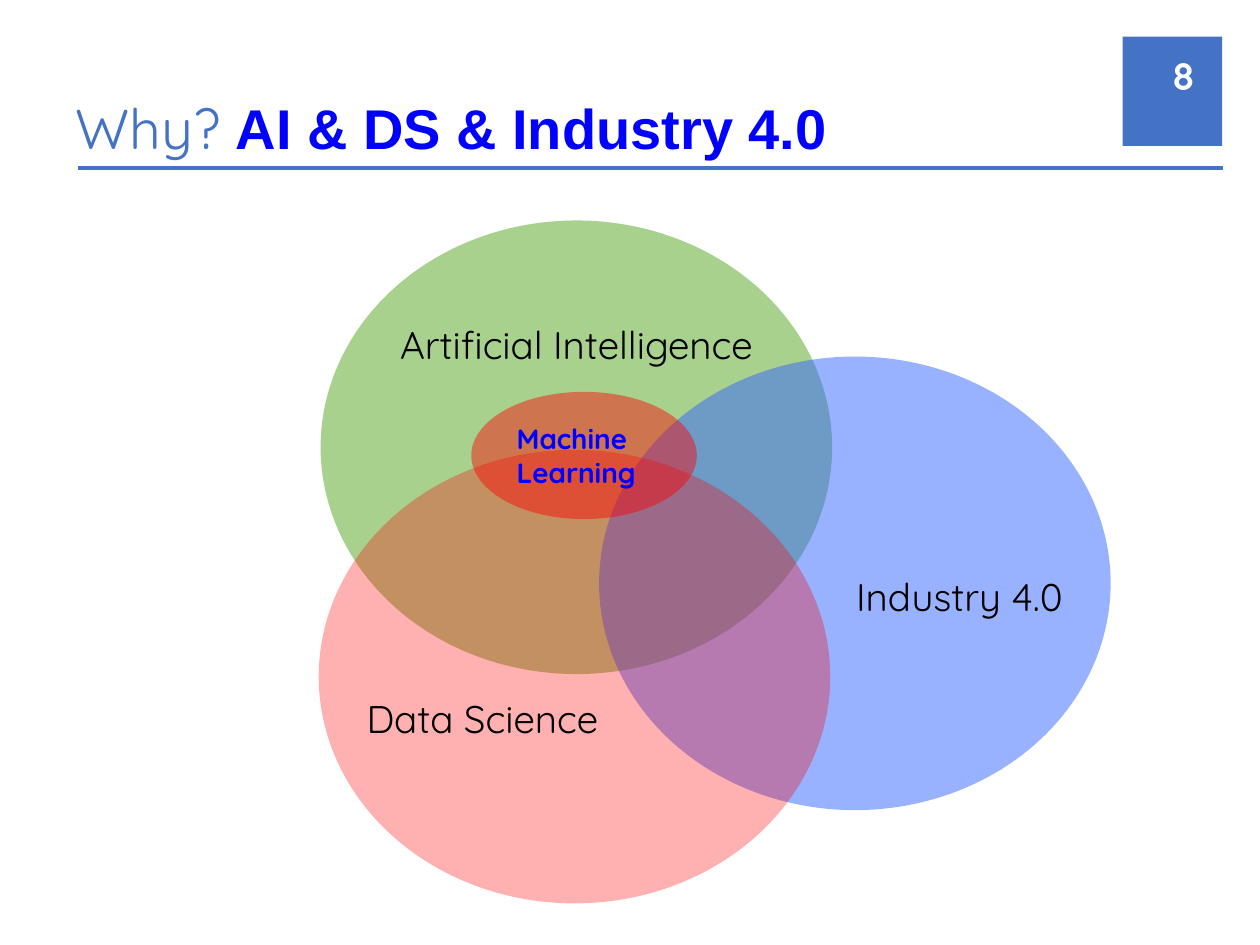
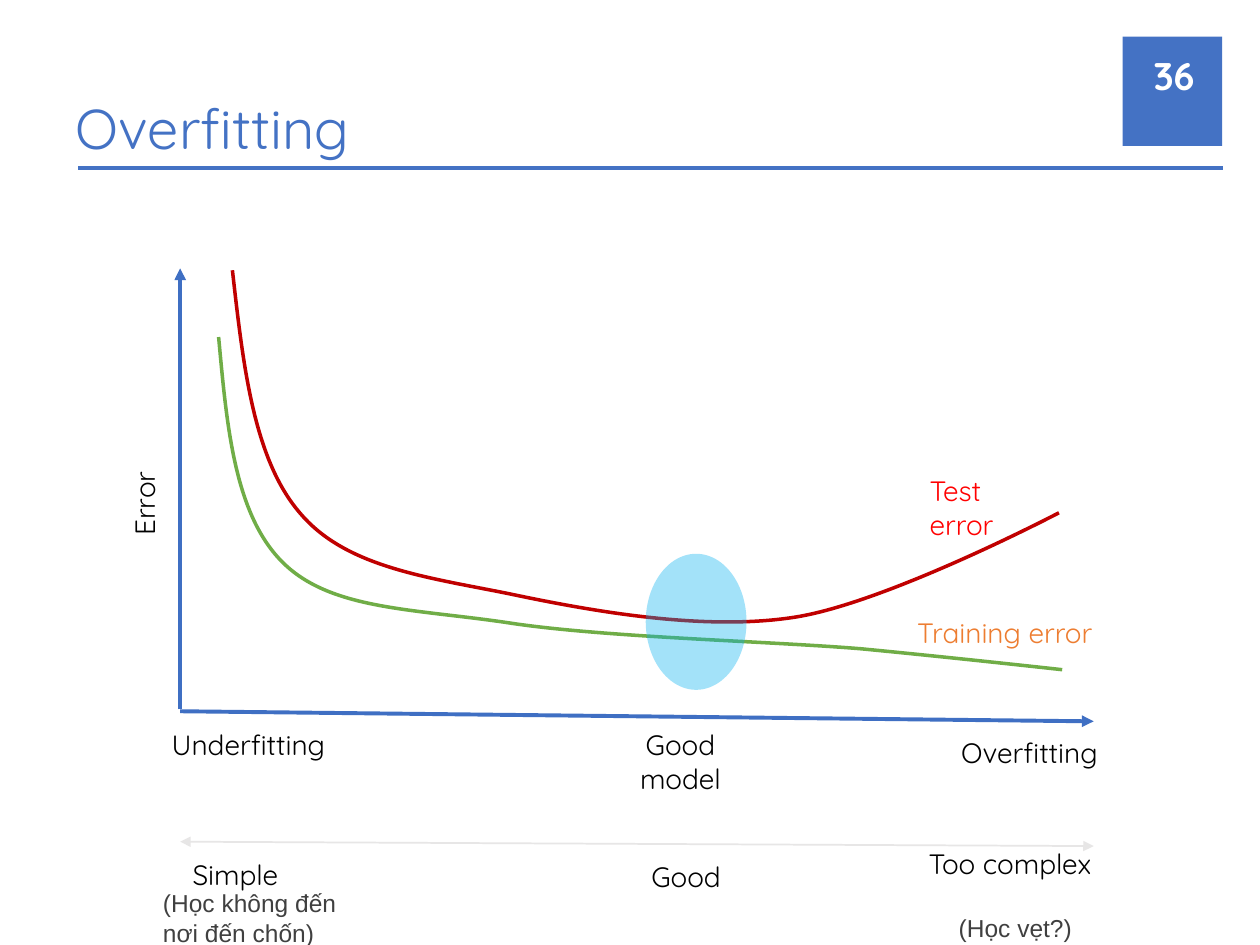
from dataclasses import dataclass
from typing import Optional

from lxml.etree import SubElement
from pptx import Presentation
from pptx.dml.color import RGBColor
from pptx.enum.shapes import MSO_CONNECTOR, MSO_SHAPE
from pptx.enum.text import MSO_ANCHOR, PP_ALIGN
from pptx.oxml.ns import qn
from pptx.util import Inches, Pt

# Shared look: a grid of 100 columns by 75 rows covers the slide
SLIDE_W, SLIDE_H = Inches(10), Inches(7.5)
COL, ROW = SLIDE_W / 100, SLIDE_H / 75
FONT, PLAIN_FONT = "Quicksand", "Arial"
LEFT, CENTER, RIGHT = PP_ALIGN.LEFT, PP_ALIGN.CENTER, PP_ALIGN.RIGHT
COLORS = {
    "accent": "4472C4", "axis": "3F6FC3", "white": "FFFFFF", "black": "000000",
    "blue": "0000FF", "red": "FF0000", "orange": "ED7D31", "gray": "404040",
    "pale": "E7E6E6", "leaf": "A9D18E", "indigo": "3366FF", "sky": "00B0F0",
    "green": "70AD47", "crimson": "C00000",
}


@dataclass
class Label:
    text: str
    x: float
    y: float
    w: float
    h: float
    color: str = "black"
    size: int = 16
    align: PP_ALIGN = LEFT
    font: str = FONT
    bold: bool = False
    middle: bool = False
    margins: bool = True
    vert: Optional[str] = None


@dataclass
class Solid:
    x: float
    y: float
    w: float
    h: float
    color: str
    alpha: int = 100
    outline: bool = False
    kind: MSO_SHAPE = MSO_SHAPE.OVAL


@dataclass
class Line:
    x1: float
    y1: float
    x2: float
    y2: float
    color: str
    width: float
    head: bool = False
    tail: bool = False


@dataclass
class Curve:
    color: str
    start: tuple
    points: list  # per segment: two control points and an end point


def rgb(name: str) -> RGBColor:
    return RGBColor.from_string(COLORS[name])


def style_run(r, size: float, color: str, font: str = FONT, bold: bool = False) -> None:
    r.font.size, r.font.name, r.font.bold = Pt(size), font, bold
    r.font.color.rgb = rgb(color)


def box(x: float, y: float, w: float, h: float) -> tuple:
    return tuple(round(v) for v in (x * COL, y * ROW, w * COL, h * ROW))


def add_solid(slide, o: Solid):
    sp = slide.shapes.add_shape(o.kind, *box(o.x, o.y, o.w, o.h))
    sp.shadow.inherit = False
    sp.fill.solid()
    sp.fill.fore_color.rgb = rgb(o.color)
    if o.outline:
        sp.line.color.rgb = rgb(o.color)
        sp.line.width = Pt(1)
    else:
        sp.line.fill.background()
    if o.alpha < 100:
        clr = sp._element.spPr.find(qn("a:solidFill"))[0]
        SubElement(clr, qn("a:alpha"), val=str(o.alpha * 1000))
    return sp


def add_label(slide, lb: Label):
    sp = slide.shapes.add_textbox(*box(lb.x, lb.y, lb.w, lb.h))
    tf = sp.text_frame
    tf.word_wrap = True
    tf.text = lb.text
    tf.vertical_anchor = MSO_ANCHOR.MIDDLE if lb.middle else MSO_ANCHOR.TOP
    if not lb.margins:
        tf.margin_left = tf.margin_right = tf.margin_top = tf.margin_bottom = 0
    if lb.vert:
        tf._txBody.bodyPr.set("vert", lb.vert)
    p = tf.paragraphs[0]
    p.alignment = lb.align
    style_run(p.runs[0], lb.size, lb.color, lb.font, lb.bold)
    return sp


def add_line(slide, ln: Line):
    x1, y1, x2, y2 = box(ln.x1, ln.y1, ln.x2, ln.y2)
    cn = slide.shapes.add_connector(MSO_CONNECTOR.STRAIGHT, x1, y1, x2, y2)
    cn.line.color.rgb = rgb(ln.color)
    cn.line.width = Pt(ln.width)
    for tag, on in (("a:headEnd", ln.head), ("a:tailEnd", ln.tail)):
        if on:
            SubElement(cn.line._get_or_add_ln(), qn(tag), type="triangle")
    SubElement(cn._element.spPr, qn("a:effectLst"))
    return cn


def add_curve(slide, cv: Curve):
    fb = slide.shapes.build_freeform(round(cv.start[0] * COL), round(cv.start[1] * ROW))
    fb.add_line_segments([(round(x * COL), round(y * ROW)) for x, y in cv.points],
                         close=False)
    sp = fb.convert_to_shape()
    # Turn each three straight steps into one cubic curve
    outline = next(sp._element.iter(qn("a:path")))
    steps = outline.findall(qn("a:lnTo"))
    for i in range(0, len(steps), 3):
        cubic = SubElement(outline, qn("a:cubicBezTo"))
        for step in steps[i:i + 3]:
            cubic.append(step[0])
            outline.remove(step)
    sp.shadow.inherit = False
    sp.fill.background()
    sp.line.color.rgb = rgb(cv.color)
    sp.line.width = Pt(2)
    return sp


def add_slide(prs, number: int, title: list):
    """Title-only slide with the number badge and the ruled title."""
    slide = prs.slides.add_slide(prs.slide_layouts[5])
    add_solid(slide, Solid(89.1, 2.9, 7.9, 18, "accent", kind=MSO_SHAPE.RECTANGLE))
    add_solid(slide, Solid(87.5, 11.65, 11.7, 10.8, "white", outline=True,
                           kind=MSO_SHAPE.RECTANGLE))
    # The title lies in front of the badge
    sp = slide.shapes.title
    slide.shapes._spTree.append(sp._element)
    sp.left, sp.top, sp.width, sp.height = box(5, 5, 92.5, 8.35)
    tf = sp.text_frame
    tf.vertical_anchor = MSO_ANCHOR.BOTTOM
    p = tf.paragraphs[0]
    p.alignment, p.line_spacing = LEFT, 0.9
    for text, color, font, bold in title:
        r = p.add_run()
        r.text = text
        style_run(r, 32, color, font, bold)
    add_line(slide, Line(6.2, 13.33, 97.1, 13.33, "accent", 2.25))
    add_label(slide, Label(str(number), 90.3, 3.95, 5.5, 4, "white", 22, RIGHT,
                           bold=True, middle=True))
    return slide


def build_venn(prs) -> None:
    slide = add_slide(prs, 8, [("Why? ", "accent", FONT, False),
                               ("AI & DS & Industry 4.0", "blue", PLAIN_FONT, True)])
    # Three equal fields, each with its name
    for x, y, color, alpha, lb in (
        (25.45, 17.5, "leaf", 100,
         Label("Artificial Intelligence", 30.85, 25.3, 29.8, 4, align=CENTER)),
        (47.55, 28.3, "indigo", 50,
         Label("Industry 4.0", 59.95, 45.3, 24.4, 4, align=RIGHT)),
        (25.3, 35.7, "red", 31, Label("Data Science", 29.1, 55, 24.4, 4)),
    ):
        add_solid(slide, Solid(x, y, 40.6, 36, color, alpha))
        lb.size, lb.middle, lb.margins = 22, True, False
        add_label(slide, lb)
    # Machine learning core
    core = add_solid(slide, Solid(37.4, 31.1, 17.9, 10.1, "red", 44))
    tf = core.text_frame
    tf.text = "Machine\nLearning"
    tf.vertical_anchor = MSO_ANCHOR.MIDDLE
    for p in tf.paragraphs:
        p.alignment = LEFT
        style_run(p.runs[0], 16, "blue", bold=True)


def build_overfitting(prs) -> None:
    slide = add_slide(prs, 36, [("Overfitting", "accent", FONT, False)])
    # Axes
    add_line(slide, Line(14.3, 56.45, 86.8, 57.25, "axis", 2.25, tail=True))
    add_line(slide, Line(14.3, 56.3, 14.3, 21.3, "axis", 2.25, tail=True))
    # Error curves
    add_curve(slide, Curve("green", (17.35, 26.75), [
        (18, 33.8), (18.6, 40.9), (22.5, 44.7),
        (26.4, 48.5), (33.1, 48.3), (40.8, 49.5),
        (48.4, 50.6), (61.2, 50.9), (68.4, 51.5),
        (75.7, 52.2), (84.3, 53.15), (84.3, 53.15)]))
    add_curve(slide, Curve("crimson", (18.45, 21.45), [
        (19.3, 28.9), (20.1, 36.4), (23.8, 40.7),
        (27.4, 45), (33.8, 45.8), (40.3, 47.1),
        (46.9, 48.5), (55.8, 50.1), (63, 49),
        (70.3, 47.9), (84.05, 40.7), (84.05, 40.7)]))
    # Labels, sweet spot and complexity scale
    for lb in (
        Label("Test error", 72.8, 37.1, 11.7, 3.7, "red"),
        Label("Training error", 71.8, 48.35, 16, 3.7, "orange"),
        Label("Good model", 47.25, 57.25, 13.5, 6.4, align=CENTER),
        Label("Underfitting", 12.65, 57.25, 15, 3.7),
        Label("Overfitting", 75.3, 57.9, 14.5, 3.7),
        Label("Simple", 14.3, 67.6, 15, 3.7),
        Label("Too complex", 72.65, 66.7, 15, 6.4, align=CENTER),
        Label("Good", 48.45, 67.75, 12, 3.7, align=CENTER),
        Label("Error", 9.6, 34.7, 4.7, 8.8, vert="vert270"),
        Label("(Học không đến nơi đến chốn)", 11.95, 70, 16, 5.7, "gray", 14,
              font=PLAIN_FONT),
        Label("(Học vẹt?)", 75.1, 72, 12.2, 3.4, "gray", 14, font=PLAIN_FONT),
    ):
        add_label(slide, lb)
    add_solid(slide, Solid(51.25, 43.95, 8, 10.8, "sky", 36))
    add_line(slide, Line(14.3, 66.8, 86.8, 67.15, "pale", 1, head=True, tail=True))


def main() -> None:
    prs = Presentation()
    prs.slide_width, prs.slide_height = SLIDE_W, SLIDE_H
    build_venn(prs)
    build_overfitting(prs)
    prs.save("out.pptx")


if __name__ == "__main__":
    main()
